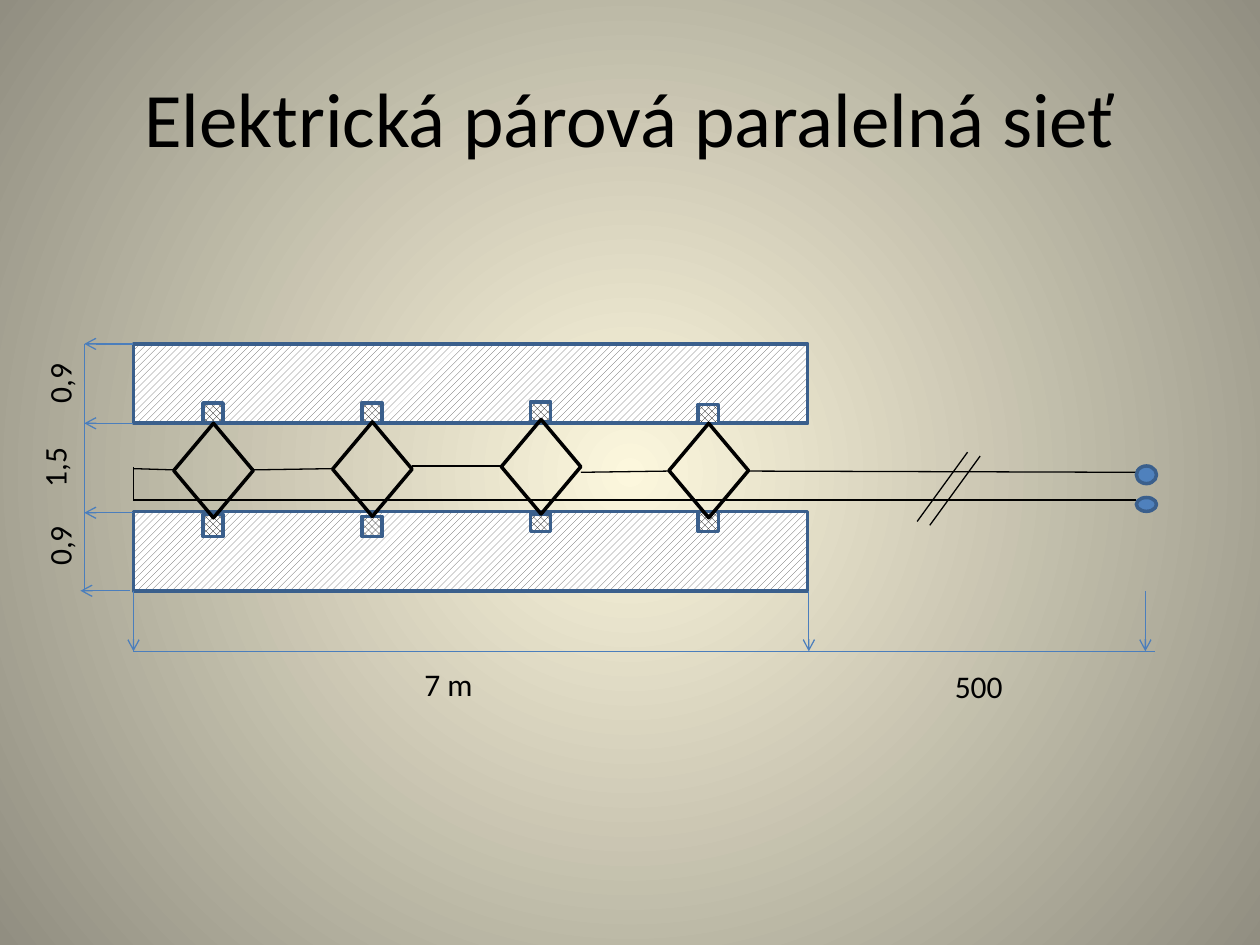
from pptx import Presentation
from pptx.dml.color import RGBColor
from pptx.enum.dml import MSO_PATTERN
from pptx.enum.shapes import MSO_CONNECTOR, MSO_SHAPE
from pptx.enum.text import MSO_ANCHOR, MSO_AUTO_SIZE, PP_ALIGN
from pptx.oxml import parse_xml
from pptx.oxml.ns import nsdecls, qn
from pptx.util import Pt

FONT = "Calibri"
COLORS = {
    "glow": "FCF7DD", "edge": "918E81", "ink": "000000", "paper": "FFFFFF",
    "hatch": "595959", "outline": "3A5F8C", "dimension": "4B7EBC", "terminal": "4F81BD",
}
BAR_WIDTH, BAR_HEIGHT, LOWER_BAR = 385.2, 45.4, 95.8
CHARGE_WIDTH, CHARGE_INSET = 11.5, 16.7
LOOP_WIDTH, LOOP_HEIGHT = 45.4, 54
TERMINAL_X, RETURN_Y = 573.1, 89.3
DIMENSION_X, DIMENSION_Y, DIMENSION_BASE = -28.1, 141.1, 175.7


def color(key):
    """Return the named colour."""
    return RGBColor.from_string(COLORS[key])


def paint_background(slide):
    """Fill the background with a circular glow."""
    fill = slide.background.fill
    fill.gradient()
    for stop, key, position in zip(fill.gradient_stops, ("glow", "edge"), (0, 1)):
        stop.color.rgb = color(key)
        stop.position = position
    gradient = slide.background._cSld.find(".//" + qn("a:gradFill"))
    linear = gradient.find(qn("a:lin"))
    gradient.replace(linear, parse_xml(
        f'<a:path {nsdecls("a")} path="circle">'
        '<a:fillToRect l="50000" t="50000" r="50000" b="50000"/></a:path>'))


def add_text(paragraph, text, size):
    """Add one formatted run."""
    run = paragraph.add_run()
    run.text = text
    run.font.size, run.font.name = Pt(size), FONT
    run.font.color.rgb = color("ink")


def add_title(slide, text, left, top, width, height):
    """Place the slide title in its box."""
    title = slide.shapes.title
    title.left, title.top, title.width, title.height = map(Pt, (left, top, width, height))
    title.text_frame.vertical_anchor = MSO_ANCHOR.MIDDLE
    paragraph = title.text_frame.paragraphs[0]
    paragraph.alignment = PP_ALIGN.CENTER
    add_text(paragraph, text, 44)


def add_part(slide, kind, left, top, width, height, line="outline"):
    """Add an outlined preset shape with no fill."""
    part = slide.shapes.add_shape(kind, *map(Pt, (left, top, width, height)))
    part.shadow.inherit = False
    part.fill.background()
    part.line.color.rgb = color(line)
    part.line.width = Pt(2)
    return part


def hatch(part, pattern, key):
    """Give a part a patterned fill on white."""
    part.fill.patterned()
    part.fill.pattern = pattern
    part.fill.fore_color.rgb = color(key)
    part.fill.back_color.rgb = color("paper")


def add_line(slide, start, end, key="ink", arrow=False):
    """Draw a thin line, with an arrowhead at its end if asked."""
    line = slide.shapes.add_connector(MSO_CONNECTOR.STRAIGHT, *map(Pt, (*start, *end)))
    line.line.color.rgb = color(key)
    line.line.width = Pt(0.75)
    properties = line._element.spPr
    if arrow:
        properties.find(qn("a:ln")).append(
            parse_xml(f'<a:tailEnd {nsdecls("a")} type="arrow"/>'))
    properties.append(parse_xml(f'<a:effectLst {nsdecls("a")}/>'))


def add_label(slide, text, left, top, width, rotation=0):
    """Add a dimension label."""
    label = slide.shapes.add_textbox(*map(Pt, (left, top, width, 28.8)))
    label.rotation = rotation
    label.text_frame.word_wrap = False
    label.text_frame.auto_size = MSO_AUTO_SIZE.SHAPE_TO_FIT_TEXT
    add_text(label.text_frame.paragraphs[0], text, 18)


def add_bars(slide, left, top):
    """Draw the two hatched bars."""
    for offset in (0, LOWER_BAR):
        bar = add_part(slide, MSO_SHAPE.RECTANGLE, left, top + offset, BAR_WIDTH, BAR_HEIGHT)
        hatch(bar, MSO_PATTERN.WIDE_UPWARD_DIAGONAL, "hatch")


def add_vertical_dimensions(slide, left, top):
    """Draw the thickness dimensions left of the bars."""
    for shift, y in ((0, 0), (0, 45.4), (0, 96.5), (-2.2, DIMENSION_Y)):
        add_line(slide, (left + shift, top + y), (left + DIMENSION_X + shift, top + y),
                 "dimension", arrow=True)
    add_line(slide, (left + DIMENSION_X, top), (left + DIMENSION_X, top + DIMENSION_Y), "dimension")
    for text, x, y in (("0,9", -61.2, 7.9), ("0,9", -61.2, 100.8), ("1,5", -64.1, 56.2)):
        add_label(slide, text, left + x, top + y, 37.4, rotation=270)


def add_pairs(slide, left, top):
    """Draw each pair of charges with the diamond loop between them."""
    pairs = ((23, 45.4, 33.8, 11.5, 97.2, 13), (113.8, 44.6, 33.8, 11.5, 98.6, 11.5),
             (210.2, 43.2, 33.1, 11.5, 97.2, 10.1), (306, 45.4, 34.6, 10.8, 95.8, 11.5))
    for x, loop_y, upper_y, upper_height, lower_y, lower_height in pairs:
        for y, height in ((upper_y, upper_height), (lower_y, lower_height)):
            charge = add_part(slide, MSO_SHAPE.RECTANGLE, left + x + CHARGE_INSET, top + y,
                              CHARGE_WIDTH, height)
            hatch(charge, MSO_PATTERN.OUTLINED_DIAMOND, "ink")
        add_part(slide, MSO_SHAPE.DIAMOND, left + x, top + loop_y, LOOP_WIDTH, LOOP_HEIGHT, "ink")


def add_wiring(slide, left, top):
    """Draw the wires, the break mark and the terminals."""
    wires = (((68.4, 72), (113.8, 71.3)), ((159.1, 69.8), (210.2, 69.8)),
             ((255.6, 73.4), (306, 72.7)), ((23, 72), (0, 71.3)),
             ((0, 70.6), (0, RETURN_Y)), ((0, RETURN_Y), (TERMINAL_X, RETURN_Y)),
             ((351.4, 72.7), (TERMINAL_X, 73.4)),
             ((447.8, 101.5), (476.6, 61.9)), ((455, 103.7), (483.8, 64.1)))
    for (x1, y1), (x2, y2) in wires:
        add_line(slide, (left + x1, top + y1), (left + x2, top + y2))
    for y, height in ((69.8, 10.1), (87.8, 7.9)):
        terminal = add_part(slide, MSO_SHAPE.OVAL, left + TERMINAL_X, top + y, 11.5, height)
        terminal.fill.solid()
        terminal.fill.fore_color.rgb = color("terminal")


def add_horizontal_dimensions(slide, left, top):
    """Draw the length dimensions below the bars."""
    base = top + DIMENSION_BASE
    for x in (0, 385.9, 578.2):
        add_line(slide, (left + x, top + DIMENSION_Y), (left + x, base), "dimension", arrow=True)
    add_line(slide, (left, base), (left + 583.9, base), "dimension")
    for text, x, y in (("7 m", 159.1, 180), ("500", 462.2, 181.4)):
        add_label(slide, text, left + x, top + y, 42.5)


def main():
    """Build and save the slide."""
    presentation = Presentation()
    presentation.slide_width, presentation.slide_height = Pt(720), Pt(540)
    slide = presentation.slides.add_slide(presentation.slide_layouts[5])
    paint_background(slide)
    add_title(slide, "Elektrická párová paralelná sieť", 36, 21.6, 648, 90)
    for add_region in (add_bars, add_vertical_dimensions, add_pairs, add_wiring,
                       add_horizontal_dimensions):
        add_region(slide, 76.3, 196.5)
    presentation.save("out.pptx")


if __name__ == "__main__":
    main()
